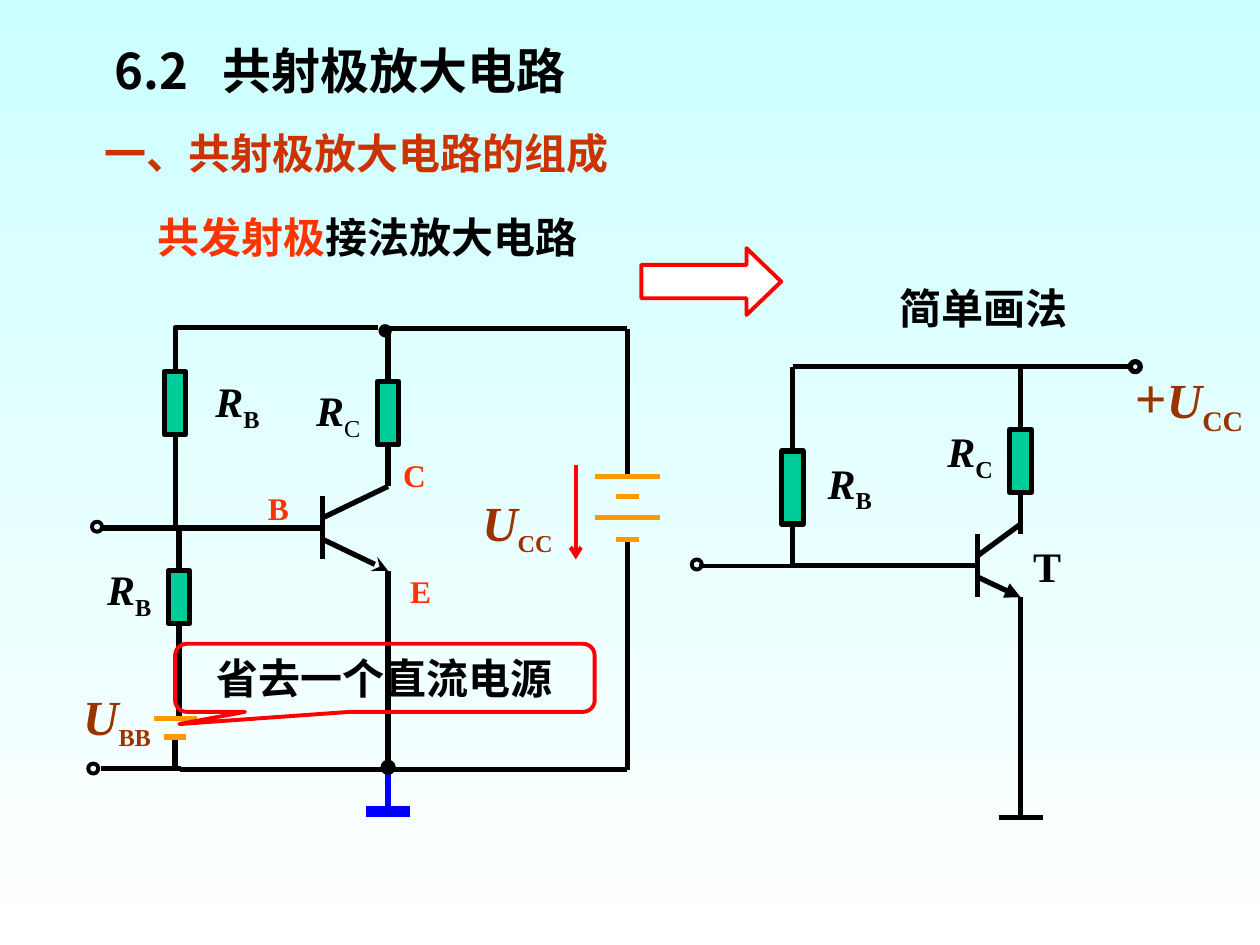
import pptx
import pptx.util
import pptx.dml.color
import pptx.enum.shapes
import pptx.enum.text
import pptx.oxml
import pptx.oxml.ns
from dataclasses import dataclass

Inches = pptx.util.Inches
Pt = pptx.util.Pt
SHAPE = pptx.enum.shapes.MSO_SHAPE
ALIGN = pptx.enum.text.PP_ALIGN
ANCHOR = pptx.enum.text.MSO_ANCHOR


@dataclass(frozen=True)
class Theme:
    sky: str = "CCFFFF"
    white: str = "FFFFFF"
    ink: str = "000000"
    heading: str = "CC3300"
    accent: str = "FF3300"
    voltage: str = "993300"
    resistor: str = "00CC99"
    battery: str = "FF9900"
    ground: str = "0000FF"
    red: str = "FF0000"
    latin: str = "Times New Roman"
    cjk: str = "Noto Sans CJK SC"
    plus: int = 32
    title: int = 28
    body: int = 24
    pin: int = 18
    thick: float = 3
    thin: float = 2.25


T = Theme()


def rgb(value):
    return pptx.dml.color.RGBColor.from_string(value)


def sub_element(parent, tag, **attrs):
    el = pptx.oxml.parse_xml(f"<a:{tag} {pptx.oxml.ns.nsdecls('a')}/>")
    for name, value in attrs.items():
        el.set(name, str(value))
    parent.append(el)
    return el


def add_run(p, text, size=T.body, color=T.ink, bold=True, italic=False, sub=False, font=T.latin):
    r = p.add_run()
    r.text = text
    r.font.size = Pt(size)
    r.font.bold = bold
    r.font.italic = italic
    r.font.color.rgb = rgb(color)
    r.font.name = font
    rPr = r._r.get_or_add_rPr()
    sub_element(rPr, "ea", typeface=T.cjk)
    if sub:
        rPr.set("baseline", "-25000")


def place(sp, box):
    sp.left, sp.top, sp.width, sp.height = (Inches(v) for v in box)


def write(sp, runs, align=ALIGN.CENTER, anchor=ANCHOR.MIDDLE, wrap=True):
    tf = sp.text_frame
    tf.word_wrap = wrap
    tf.auto_size = pptx.enum.text.MSO_AUTO_SIZE.NONE
    tf.vertical_anchor = anchor
    p = tf.paragraphs[0]
    p.alignment = align
    p.space_before = Pt(0)
    for text, fmt in runs:
        add_run(p, text, **fmt)
    return p


def label(s, box, *runs, **fmt):
    sp = s.shapes.add_textbox(*(Inches(v) for v in box))
    write(sp, runs, **fmt)


def symbol(s, box, letter, index, size=T.body, color=T.ink, index_size=T.body, index_bold=True, **fmt):
    label(s, box, (letter, dict(size=size, color=color, italic=True)),
          (index, dict(size=index_size, color=color, bold=index_bold, sub=True)), wrap=False, **fmt)


def outline(sp, color=T.ink, width=T.thick, fill=None):
    sp.shadow.inherit = False
    sp.line.color.rgb = rgb(color)
    sp.line.width = Pt(width)
    if fill:
        sp.fill.solid()
        sp.fill.fore_color.rgb = rgb(fill)
    else:
        sp.fill.background()


def shape(s, kind, box, adj=(), **fmt):
    sp = s.shapes.add_shape(kind, *(Inches(v) for v in box))
    for i, value in enumerate(adj):
        sp.adjustments[i] = value
    outline(sp, **fmt)
    return sp


def wire(s, x1, y1, x2, y2, color=T.ink, width=T.thick, arrow=None):
    c = s.shapes.add_connector(pptx.enum.shapes.MSO_CONNECTOR.STRAIGHT,
                               Inches(x1), Inches(y1), Inches(x2), Inches(y2))
    c.line.color.rgb = rgb(color)
    c.line.width = Pt(width)
    if arrow:
        sub_element(c.line._get_or_add_ln(), "tailEnd", type=arrow)
    sub_element(c._element.spPr, "effectLst")


def plate(s, x, y, span, **fmt):
    wire(s, x - span / 2, y, x + span / 2, y, **fmt)


def resistor(s, x, top, height):
    shape(s, SHAPE.RECTANGLE, (x - 0.085, top, 0.17, height), fill=T.resistor)


def terminal(s, x, y, width=T.thin, **fmt):
    shape(s, SHAPE.OVAL, (x - 0.04, y - 0.04, 0.08, 0.08), width=width, **fmt)


def transistor(s, base, emitter, y, collector_y, emitter_y, arrow):
    wire(s, base, y - 0.25, base, y + 0.25)
    wire(s, base, y - 0.08, emitter, collector_y)
    wire(s, base, y + 0.09, emitter, emitter_y, arrow=arrow)


def full_circuit(s):
    fb = s.shapes.build_freeform(Inches(1.98), Inches(4.19), scale=1.0)
    corners = ((1.39, 4.19), (1.39, 2.6), (3, 2.6))
    fb.add_line_segments([(Inches(x), Inches(y)) for x, y in corners], close=False)
    outline(fb.convert_to_shape())

    for ends in ((1.39, 5.86, 1.39, 6.11), (1.42, 4.2, 1.42, 5.7),
                 (0.8, 4.19, 1.5, 4.19), (1.43, 4.19, 2.56, 4.19),
                 (3.08, 2.61, 3.08, 3.02), (3.08, 3.53, 3.08, 3.86),
                 (3.08, 4.53, 3.08, 6.11), (3.08, 2.61, 4.98, 2.61),
                 (4.98, 2.61, 4.98, 3.78), (4.98, 4.28, 4.98, 6.11),
                 (0.8, 6.1, 1.44, 6.1), (1.43, 6.11, 4.98, 6.11)):
        wire(s, *ends)
    for x, top, height in ((1.39, 2.95, 0.5), (1.42, 4.53, 0.42), (3.08, 3.03, 0.5)):
        resistor(s, x, top, height)
    for x, y, span in ((1.39, 5.7, 0.34), (1.39, 5.85, 0.17),
                       (4.98, 3.78, 0.52), (4.98, 3.94, 0.18),
                       (4.98, 4.11, 0.52), (4.98, 4.28, 0.18)):
        plate(s, x, y, span, color=T.battery)
    transistor(s, 2.56, 3.08, 4.19, 3.86, 4.53, "stealth")
    wire(s, 3.08, 6.11, 3.08, 6.44, color=T.ground)
    plate(s, 3.08, 6.44, 0.35, color=T.ground, width=6)
    wire(s, 4.57, 3.69, 4.57, 4.44, color=T.red, width=T.thin, arrow="arrow")
    terminal(s, 0.77, 4.18)
    terminal(s, 0.74, 6.1)
    terminal(s, 3.08, 6.09, width=T.thick, fill=T.ink)
    label(s, (2.89, 2.32, 0.33, 0.57), ("•", dict(size=T.title, italic=True)), wrap=False)

    symbol(s, (1.61, 2.93, 0.55, 0.56), "R", "B")
    symbol(s, (0.75, 4.42, 0.55, 0.56), "R", "B")
    symbol(s, (2.41, 3, 0.55, 0.56), "R", "C", index_bold=False)
    symbol(s, (0.56, 5.4, 0.74, 0.61), "U", "BB", size=T.title, color=T.voltage)
    symbol(s, (3.73, 3.86, 0.76, 0.61), "U", "CC", size=T.title, color=T.voltage,
           align=ALIGN.LEFT, anchor=ANCHOR.TOP)
    for pin, x, y in (("B", 2.03, 3.83), ("C", 3.11, 3.57), ("E", 3.16, 4.49)):
        label(s, (x, y, 0.36, 0.4), (pin, dict(size=T.pin, color=T.accent)), wrap=False)


def simple_circuit(s):
    for ends in ((6.29, 2.91, 8.97, 2.91), (6.29, 2.91, 6.29, 3.58),
                 (6.29, 4.16, 6.29, 4.49), (6.29, 4.49, 7.76, 4.49),
                 (8.1, 2.91, 8.1, 3.41), (8.1, 3.91, 8.1, 4.24),
                 (8.1, 4.74, 8.1, 6.49)):
        wire(s, *ends)
    wire(s, 5.55, 4.49, 6.29, 4.49, width=T.thin)
    plate(s, 8.1, 6.49, 0.35)
    resistor(s, 6.29, 3.58, 0.58)
    resistor(s, 8.1, 3.41, 0.5)
    transistor(s, 7.76, 8.1, 4.49, 4.16, 4.74, "triangle")
    terminal(s, 9.01, 2.91, width=T.thick)
    terminal(s, 5.53, 4.48)

    top_left = dict(align=ALIGN.LEFT, anchor=ANCHOR.TOP)
    symbol(s, (6.47, 3.58, 0.55, 0.56), "R", "B", **top_left)
    symbol(s, (7.42, 3.33, 0.56, 0.56), "R", "C", **top_left)
    label(s, (8.1, 4.24, 0.42, 0.5), ("T", {}), wrap=False, **top_left)
    supply = dict(size=T.title, color=T.voltage)
    label(s, (8.91, 2.83, 1.06, 0.69), ("+", dict(size=T.plus, color=T.voltage)),
          ("U", dict(supply, italic=True)), ("CC", dict(supply, sub=True)), wrap=False, **top_left)
    label(s, (7.04, 2.19, 1.53, 0.5), ("简单画法", {}), wrap=False)


def headings(s):
    title, body = s.placeholders
    place(title, (0.81, 0.27, 8.95, 0.57))
    p = write(title, [("6.2\t共射极放大电路", dict(size=T.title, font=T.cjk))], align=ALIGN.LEFT)
    tabs = sub_element(p._p.get_or_add_pPr(), "tabLst")
    sub_element(tabs, "tab", pos=Inches(0.86), algn="l")

    place(body, (0.4, 0.96, 7.06, 0.5))
    p = write(body, [("一、共射极放大电路的组成", dict(color=T.heading))],
              align=ALIGN.LEFT, anchor=ANCHOR.TOP)
    pPr = p._p.get_or_add_pPr()
    pPr.set("marL", str(Inches(0.33)))
    pPr.set("indent", "0")
    sub_element(pPr, "buNone")

    label(s, (0.57, 1.63, 4.7, 0.5), ("共发射极", dict(color=T.accent)), ("接法放大电路", {}))


def main():
    prs = pptx.Presentation()
    prs.slide_width, prs.slide_height = Inches(10), Inches(7.5)
    s = prs.slides.add_slide(prs.slide_layouts[1])
    fill = s.background.fill
    fill.gradient()
    fill.gradient_angle = 270
    for stop, color in zip(fill.gradient_stops, (T.sky, T.white)):
        stop.color.rgb = rgb(color)

    headings(s)
    shape(s, SHAPE.RIGHT_ARROW, (5.09, 1.97, 1.11, 0.53), adj=(0.5, 0.52),
          color=T.red, width=T.thin, fill=T.white)
    full_circuit(s)
    simple_circuit(s)
    note = shape(s, SHAPE.ROUNDED_RECTANGULAR_CALLOUT, (1.39, 5.11, 3.33, 0.54),
                 adj=(-0.49, 0.68, 0.17), color=T.red, width=T.thin)
    write(note, [("省去一个直流电源", {})])
    prs.save("out.pptx")


if __name__ == "__main__":
    main()
